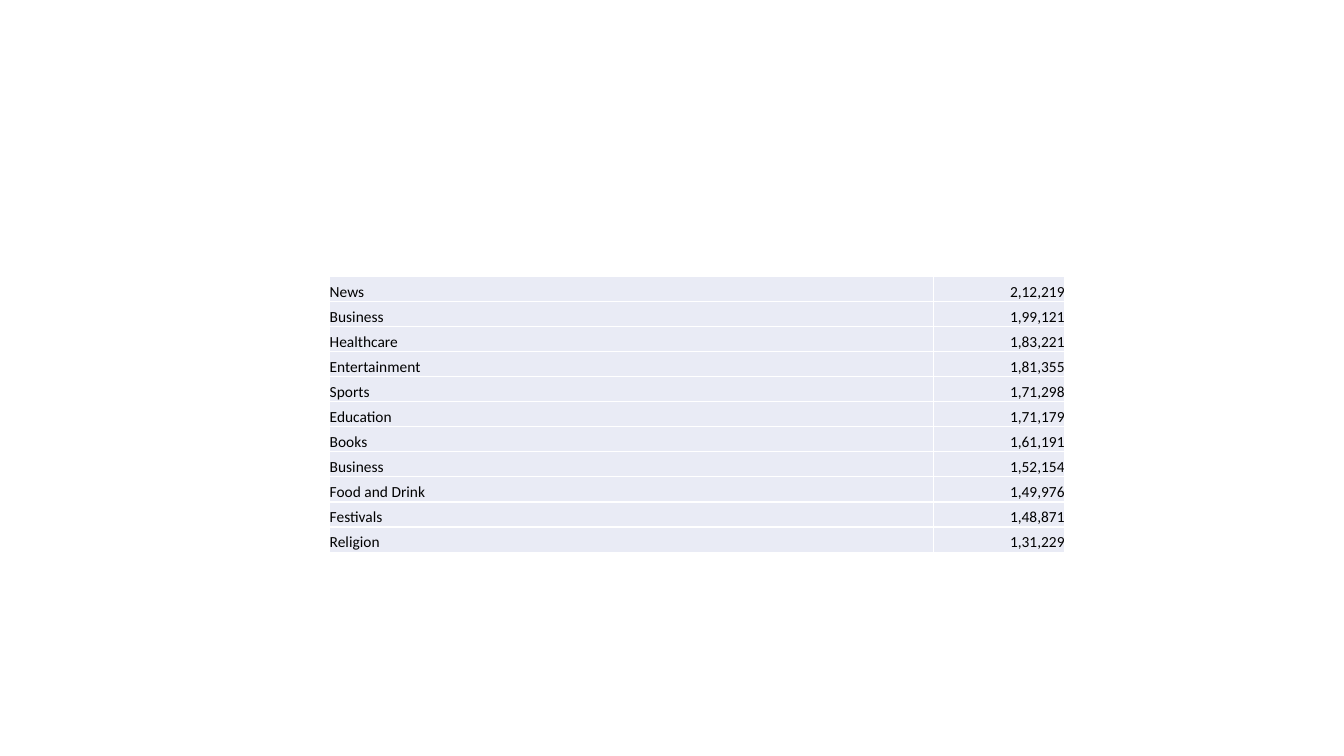
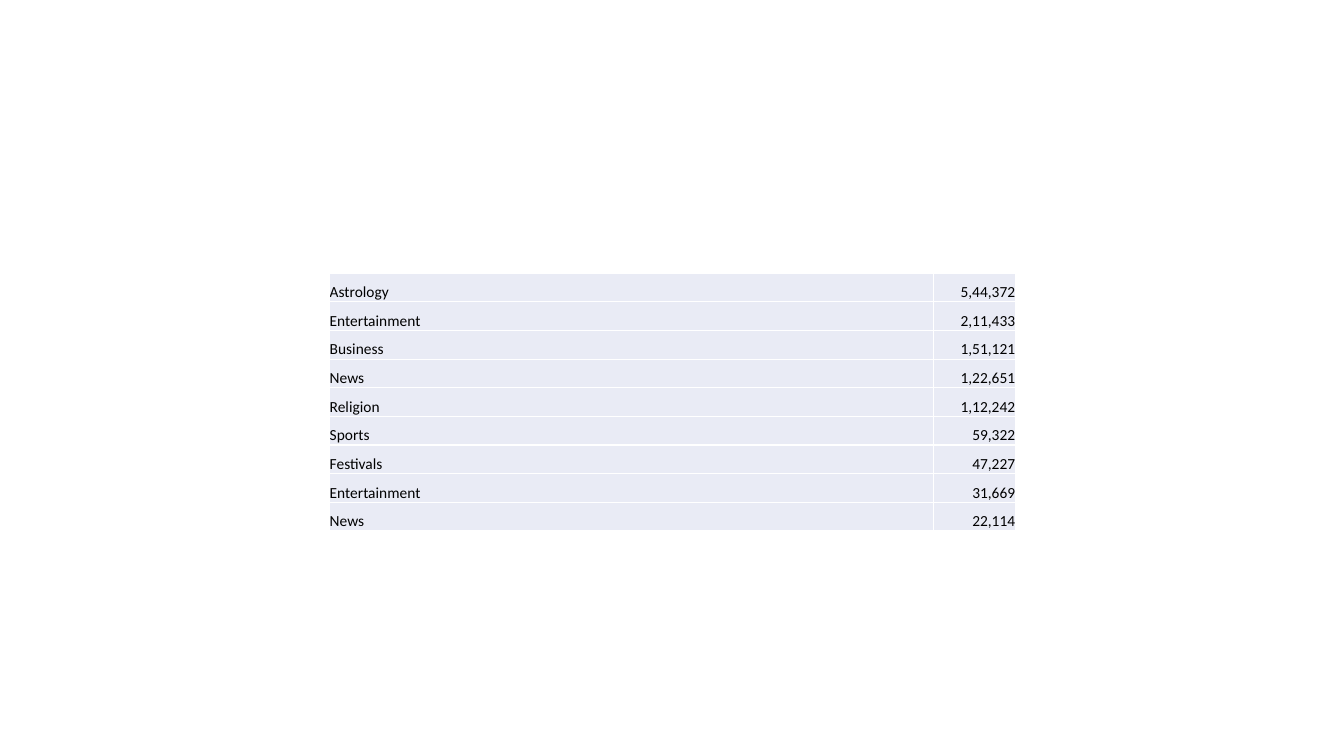
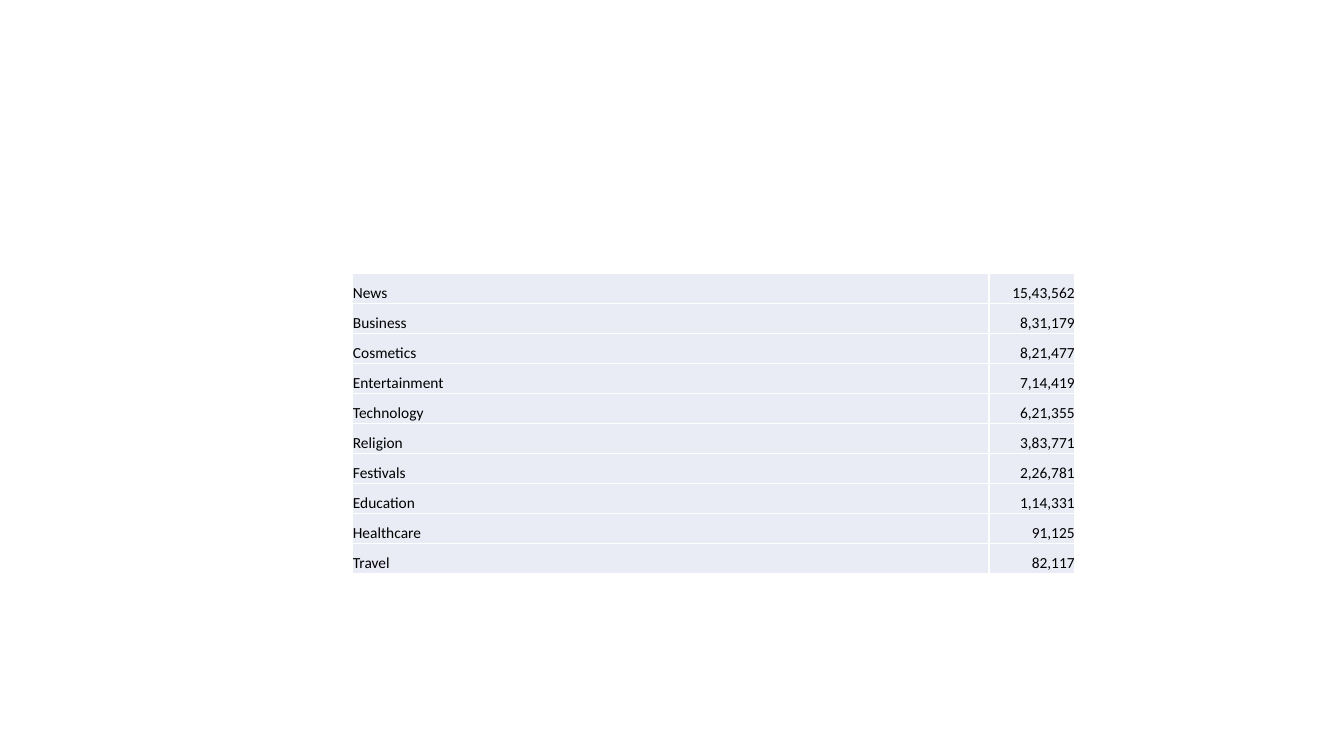
from dataclasses import dataclass

from pptx import Presentation
from pptx.dml.color import RGBColor
from pptx.enum import text
from pptx.oxml import ns
from pptx.util import Inches, Pt
from lxml import etree


@dataclass(frozen=True)
class Theme:
    font: str = "Calibri"
    size: int = 11
    ink: str = "000000"
    cell: str = "E9EBF5"
    border: str = "FFFFFF"
    border_width: int = 1


theme = Theme()


def add_borders(cell):
    properties = cell._tc.get_or_add_tcPr()
    for side in ("lnL", "lnR", "lnT", "lnB"):
        line = etree.SubElement(properties, ns.qn(f"a:{side}"), w=str(Pt(theme.border_width)))
        fill = etree.SubElement(line, ns.qn("a:solidFill"))
        etree.SubElement(fill, ns.qn("a:srgbClr"), val=theme.border)


def add_cell(cell, content, alignment):
    add_borders(cell)
    cell.fill.solid()
    cell.fill.fore_color.rgb = RGBColor.from_string(theme.cell)
    cell.margin_left = cell.margin_right = cell.margin_top = cell.margin_bottom = 0
    cell.vertical_anchor = text.MSO_ANCHOR.BOTTOM
    para = cell.text_frame.paragraphs[0]
    para.text = content
    para.alignment = alignment
    font = para.runs[0].font
    font.name = theme.font
    font.size = Pt(theme.size)
    font.color.rgb = RGBColor.from_string(theme.ink)


pages = [
    {
        "left": 3.27, "top": 2.74, "height": 2.74, "columns": (5.99, 1.3),
        "rows": [
            ("News", "2,12,219"),
            ("Business", "1,99,121"),
            ("Healthcare", "1,83,221"),
            ("Entertainment", "1,81,355"),
            ("Sports", "1,71,298"),
            ("Education", "1,71,179"),
            ("Books", "1,61,191"),
            ("Business", "1,52,154"),
            ("Food and Drink", "1,49,976"),
            ("Festivals", "1,48,871"),
            ("Religion", "1,31,229"),
        ],
    },
    {
        "left": 3.27, "top": 2.71, "height": 2.56, "columns": (5.99, 0.81),
        "rows": [
            ("Astrology", "5,44,372"),
            ("Entertainment", "2,11,433"),
            ("Business", "1,51,121"),
            ("News", "1,22,651"),
            ("Religion", "1,12,242"),
            ("Sports", "59,322"),
            ("Festivals", "47,227"),
            ("Entertainment", "31,669"),
            ("News", "22,114"),
        ],
    },
    {
        "left": 3.5, "top": 2.71, "height": 2.98, "columns": (6.31, 0.85),
        "rows": [
            ("News", "15,43,562"),
            ("Business", "8,31,179"),
            ("Cosmetics", "8,21,477"),
            ("Entertainment", "7,14,419"),
            ("Technology", "6,21,355"),
            ("Religion", "3,83,771"),
            ("Festivals", "2,26,781"),
            ("Education", "1,14,331"),
            ("Healthcare", "91,125"),
            ("Travel", "82,117"),
        ],
    },
]

deck = Presentation()
deck.slide_width = Inches(13.33)
deck.slide_height = Inches(7.5)
alignments = (text.PP_ALIGN.LEFT, text.PP_ALIGN.RIGHT)

for page in pages:
    slide = deck.slides.add_slide(deck.slide_layouts[6])
    rows, columns = page["rows"], page["columns"]
    table = slide.shapes.add_table(
        len(rows), len(columns), Inches(page["left"]), Inches(page["top"]),
        Inches(sum(columns)), Inches(page["height"]),
    ).table
    table.first_row = False
    table.horz_banding = False
    for column, width in zip(table.columns, columns):
        column.width = Inches(width)
    for row, values in zip(table.rows, rows):
        for cell, value, alignment in zip(row.cells, values, alignments):
            add_cell(cell, value, alignment)

deck.save("out.pptx")
